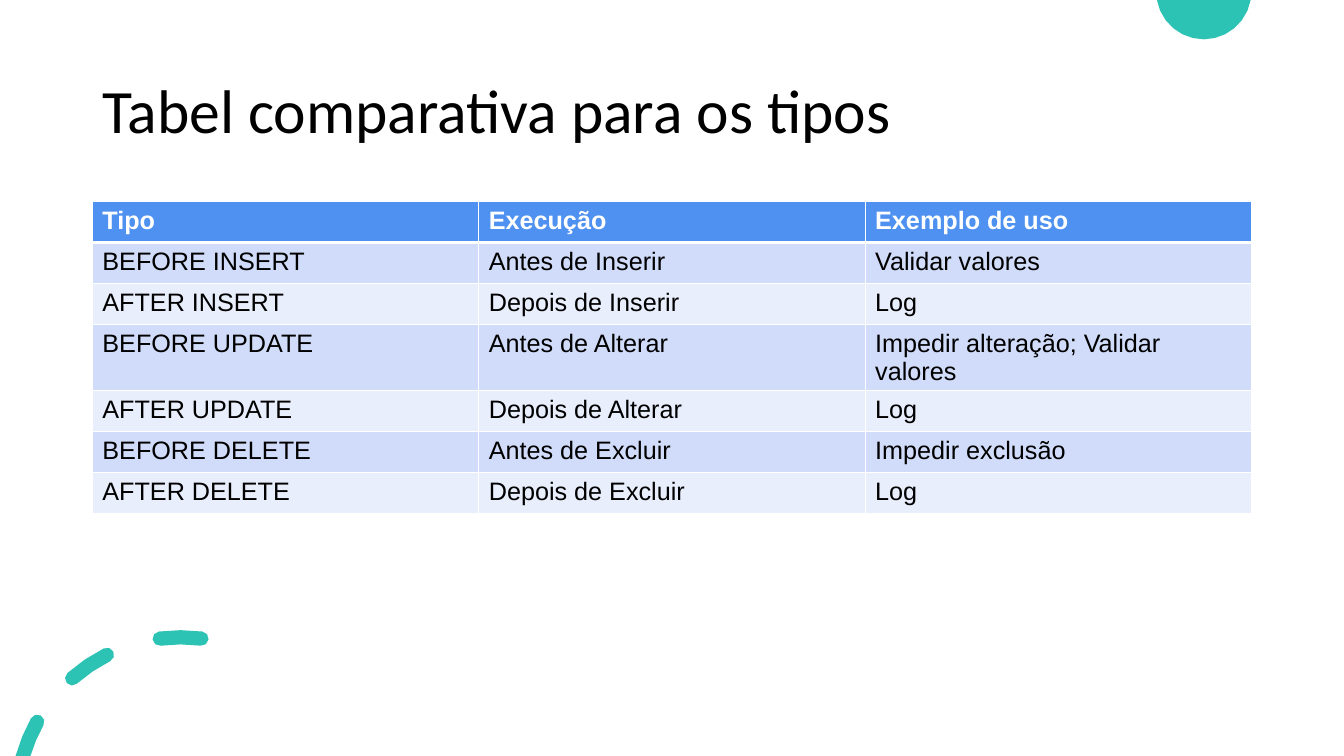
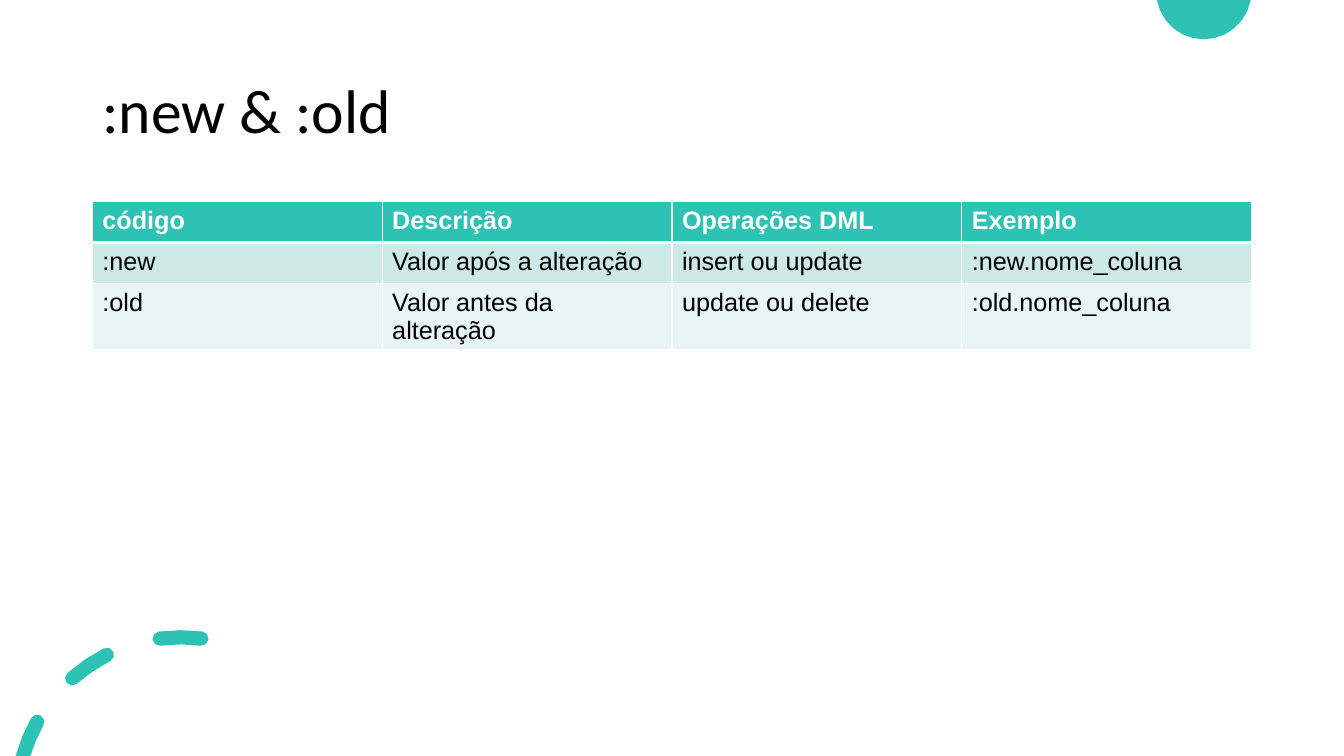
from math import acos, cos, degrees, radians, sin

from lxml.etree import SubElement
from pptx import Presentation
from pptx.dml.color import RGBColor
from pptx.enum.text import MSO_ANCHOR as Anchor, MSO_AUTO_SIZE as AutoSize, PP_ALIGN as Align
from pptx.oxml.ns import qn
from pptx.util import Pt

WHITE = RGBColor(0xFF, 0xFF, 0xFF)
BLACK = RGBColor(0x00, 0x00, 0x00)
TEAL = RGBColor(0x2C, 0xC3, 0xB4)
TEAL_BANDS = (RGBColor(0xCD, 0xE9, 0xE5), RGBColor(0xE8, 0xF5, 0xF2))
BLUE = RGBColor(0x4E, 0x91, 0xF0)
BLUE_BANDS = (RGBColor(0xD0, 0xDC, 0xF9), RGBColor(0xE9, 0xEE, 0xFC))

PAGE_WIDTH, PAGE_HEIGHT = 960, 540
TITLE_BOX = (66, 28.75, 828, 104.4)
TABLE_BOX = (66, 144, 828)
ROW_HEIGHT = 29.2
WRAPPED_LINE = 21
HALF_DISC = (859.9, -5.9, 34)
DASH_RING = (129.2, 572.6, 117.4)
DASH_WIDTH = 10.2
DASH_ANGLES = ((-7.2, 7.4), (26.7, 41.4), (60.9, 90))
OUTLINE_SCALE = 100

SLIDES = (
    ("Tabel comparativa para os tipos", BLUE, BLUE_BANDS, (
        ("Tipo", "Execução", "Exemplo de uso"),
        ("BEFORE INSERT", "Antes de Inserir", "Validar valores"),
        ("AFTER INSERT", "Depois de Inserir", "Log"),
        ("BEFORE UPDATE", "Antes de Alterar", "Impedir alteração; Validar valores"),
        ("AFTER UPDATE", "Depois de Alterar", "Log"),
        ("BEFORE DELETE", "Antes de Excluir", "Impedir exclusão"),
        ("AFTER DELETE", "Depois de Excluir", "Log"),
    )),
    (":new & :old", TEAL, TEAL_BANDS, (
        ("código", "Descrição", "Operações DML", "Exemplo"),
        (":new", "Valor após a alteração", "insert ou update", ":new.nome_coluna"),
        (":old", "Valor antes da alteração", "update ou delete", ":old.nome_coluna"),
    )),
)


def write_text(frame, text, font="Arial", size=18, color=BLACK, bold=False, spacing=None):
    para = frame.paragraphs[0]
    para.alignment = Align.LEFT
    para.line_spacing = spacing
    span = para.add_run()
    span.text = text
    span.font.name = font
    span.font.size = Pt(size)
    span.font.color.rgb = color
    span.font.bold = bold


def arc_points(center_x, center_y, radius, start, end, steps):
    angles = [radians(start + (end - start) * step / steps) for step in range(steps + 1)]
    return [(center_x - radius * sin(angle), center_y - radius * cos(angle)) for angle in angles]


def dash_outline(ring, start, end):
    center_x, center_y, radius = ring
    half = DASH_WIDTH / 2

    def edge(edge_radius):
        limit = degrees(acos((center_y - PAGE_HEIGHT) / edge_radius))
        return arc_points(center_x, center_y, edge_radius, start, min(end, limit), 2)

    def cap(angle, turn):
        middle = arc_points(center_x, center_y, radius, angle, angle, 1)[0]
        return arc_points(*middle, half, angle + turn, angle + turn + 180, 4)[1:-1]

    visible = center_y - radius * cos(radians(end)) < PAGE_HEIGHT
    end_cap = cap(end, 0) if visible else []
    return edge(radius + half) + end_cap + edge(radius - half)[::-1] + cap(start, 180)


def add_outline(page, outlines):
    scaled = [[(x * OUTLINE_SCALE, y * OUTLINE_SCALE) for x, y in outline] for outline in outlines]
    builder = page.shapes.build_freeform(*scaled[0][0], scale=Pt(1) / OUTLINE_SCALE)
    for index, points in enumerate(scaled):
        if index:
            builder.move_to(*points[0])
        builder.add_line_segments(points[1:], close=True)
    shape = builder.convert_to_shape()
    shape.shadow.inherit = False
    shape.fill.solid()
    shape.fill.fore_color.rgb = TEAL
    shape.line.fill.background()
    return shape


def decorate_layout(layout, page):
    half_disc = add_outline(page, [arc_points(*HALF_DISC, 100, 260, 12)])
    dashes = add_outline(page, [dash_outline(DASH_RING, *angles) for angles in DASH_ANGLES])
    for shape in (half_disc, dashes):
        layout.shapes.element.append(shape.element)


def place_title(page, box, text):
    title = page.shapes.title
    title.left, title.top, title.width, title.height = map(Pt, box)
    frame = title.text_frame
    frame.word_wrap = True
    frame.auto_size = AutoSize.NONE
    frame.vertical_anchor = Anchor.MIDDLE
    write_text(frame, text, font="Calibri", size=44, spacing=0.9)


def set_borders(cell, bottom_width):
    properties = cell._tc.get_or_add_tcPr()
    for index, (side, width) in enumerate((("L", 1), ("R", 1), ("T", 1), ("B", bottom_width))):
        line = SubElement(properties, qn(f"a:ln{side}"), w=str(Pt(width)))
        fill = SubElement(line, qn("a:solidFill"))
        SubElement(fill, qn("a:srgbClr"), val=str(WHITE))
        properties.insert(index, line)


def place_table(page, box, rows, header_color, bands):
    left, top, width = box
    count = len(rows[0])
    height = ROW_HEIGHT * len(rows)
    holder = page.shapes.add_table(len(rows), count, Pt(left), Pt(top), Pt(width), Pt(height))
    table = holder.table
    for column in table.columns:
        column.width = Pt(width / count)
    for row_index, texts in enumerate(rows):
        table.rows[row_index].height = Pt(ROW_HEIGHT)
        header = row_index == 0
        for column_index, text in enumerate(texts):
            cell = table.cell(row_index, column_index)
            cell.fill.solid()
            cell.fill.fore_color.rgb = header_color if header else bands[(row_index - 1) % 2]
            set_borders(cell, 3 if header else 1)
            write_text(cell.text_frame, text, color=WHITE if header else BLACK, bold=header)
    holder.height = Pt(height + WRAPPED_LINE)


def add_table_slide(deck, layout, title, header_color, bands, rows):
    page = deck.slides.add_slide(layout)
    place_title(page, TITLE_BOX, title)
    place_table(page, TABLE_BOX, rows, header_color, bands)
    return page


def main():
    deck = Presentation()
    deck.slide_width, deck.slide_height = Pt(PAGE_WIDTH), Pt(PAGE_HEIGHT)
    layout = deck.slide_layouts.get_by_name("Title Only")
    pages = [add_table_slide(deck, layout, *content) for content in SLIDES]
    decorate_layout(layout, pages[0])
    deck.save("out.pptx")


if __name__ == "__main__":
    main()
